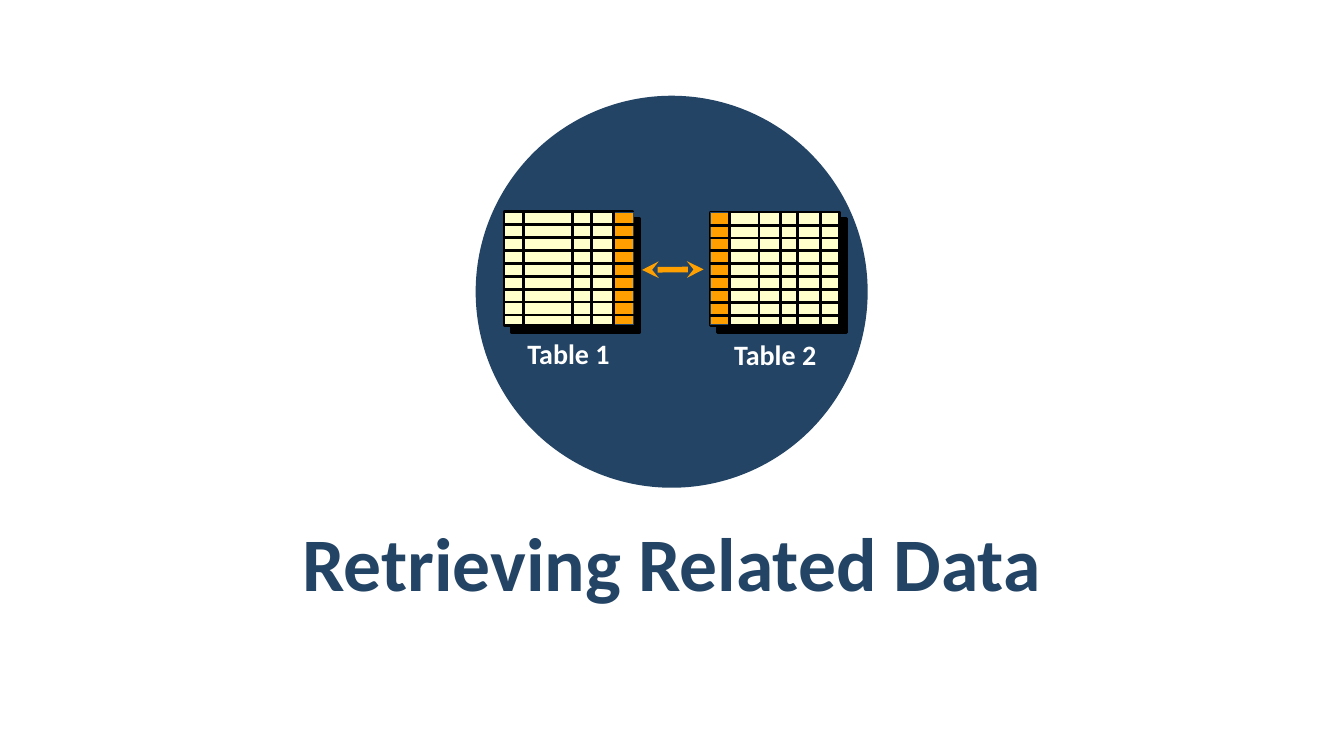
"""Build a title slide showing two related tables inside a circle."""
from lxml.etree import SubElement
from pptx import Presentation
from pptx.dml.color import RGBColor
from pptx.enum.shapes import MSO_CONNECTOR, MSO_SHAPE
from pptx.enum.text import MSO_ANCHOR, MSO_AUTO_SIZE, PP_ALIGN
from pptx.oxml.ns import qn
from pptx.util import Pt

TITLE = "Retrieving Related Data"
TABLES = [
    {"name": "Table 1", "left": 360, "top": 151.2, "key": 79.2,
     "cols": [13.7, 49, 62.6, 78.5]},
    {"name": "Table 2", "left": 507.6, "top": 151.4, "key": 0,
     "cols": [13.7, 34.6, 49.7, 61.9, 78.5]},
]
COLORS = {"navy": "234465", "cream": "FFFFCC", "orange": "FFA000",
          "black": "000000", "white": "FFFFFF"}
WIDTH, HEIGHT = 92.2, 81.4
ROWS, FIRST, PITCH = 8, 9.4, 9.2
OVER = 0.8


def color(name):
    return RGBColor.from_string(COLORS[name])


def add_box(slide, kind, box, fill, line=None, weight=0):
    shape = slide.shapes.add_shape(kind, *map(Pt, box))
    shape.shadow.inherit = False
    shape.fill.solid()
    shape.fill.fore_color.rgb = color(fill)
    if line:
        shape.line.color.rgb = color(line)
        shape.line.width = Pt(weight)
    else:
        shape.line.fill.background()
    return shape


def add_line(slide, ends, ink, weight, arrows=False):
    line = slide.shapes.add_connector(MSO_CONNECTOR.STRAIGHT, *map(Pt, ends))
    line.line.color.rgb = color(ink)
    line.line.width = Pt(weight)
    if arrows:
        for end in ("a:headEnd", "a:tailEnd"):
            SubElement(line.line._ln, qn(end), type="stealth")
    SubElement(line._element.spPr, qn("a:effectLst"))


def add_shadow(shape):
    effects = shape._element.spPr.find(qn("a:effectLst"))
    shade = SubElement(effects, qn("a:outerShdw"), dist=str(Pt(7.1)),
                       dir="2700000", algn="ctr", rotWithShape="0")
    SubElement(shade, qn("a:srgbClr"), val=COLORS["black"])


def set_text(shape, text, size, ink):
    frame = shape.text_frame
    frame.text = text
    frame.word_wrap = True
    frame.auto_size = MSO_AUTO_SIZE.NONE
    para = frame.paragraphs[0]
    para.alignment = PP_ALIGN.CENTER
    font = para.runs[0].font
    font.name, font.size, font.bold = "Calibri", Pt(size), True
    font.color.rgb = color(ink)


def add_grid(slide, table):
    left, top = table["left"], table["top"]
    body = add_box(slide, MSO_SHAPE.RECTANGLE, (left, top, WIDTH, HEIGHT),
                   "cream", "black", 2)
    add_shadow(body)
    add_box(slide, MSO_SHAPE.RECTANGLE, (left + table["key"], top + 0.4, 13, 79.9),
            "orange", "navy", 0.75)
    for col in table["cols"]:
        x = left + col
        add_line(slide, (x, top - OVER, x, top + HEIGHT + OVER), "black", 2)
    for row in range(ROWS):
        y = top + FIRST + row * PITCH
        add_line(slide, (left - OVER, y, left + WIDTH + OVER, y), "black", 2)
    label = slide.shapes.add_textbox(Pt(left), Pt(top + 85.9), Pt(WIDTH), Pt(31.7))
    set_text(label, table["name"], 20, "white")


def main():
    deck = Presentation()
    deck.slide_width, deck.slide_height = Pt(960), Pt(540)
    slide = deck.slides.add_slide(deck.slide_layouts[5])
    title = slide.shapes.title
    title.left, title.top, title.width, title.height = map(Pt, (48.2, 370.8, 863.3, 60.5))
    set_text(title, TITLE, 54, "navy")
    title.text_frame.vertical_anchor = MSO_ANCHOR.MIDDLE
    add_box(slide, MSO_SHAPE.OVAL, (339.8, 68.4, 280, 280), "navy")
    for table in TABLES:
        add_grid(slide, table)
    add_line(slide, (458.6, 192.8, 502.6, 192.4), "orange", 4, arrows=True)
    deck.save("out.pptx")


if __name__ == "__main__":
    main()
